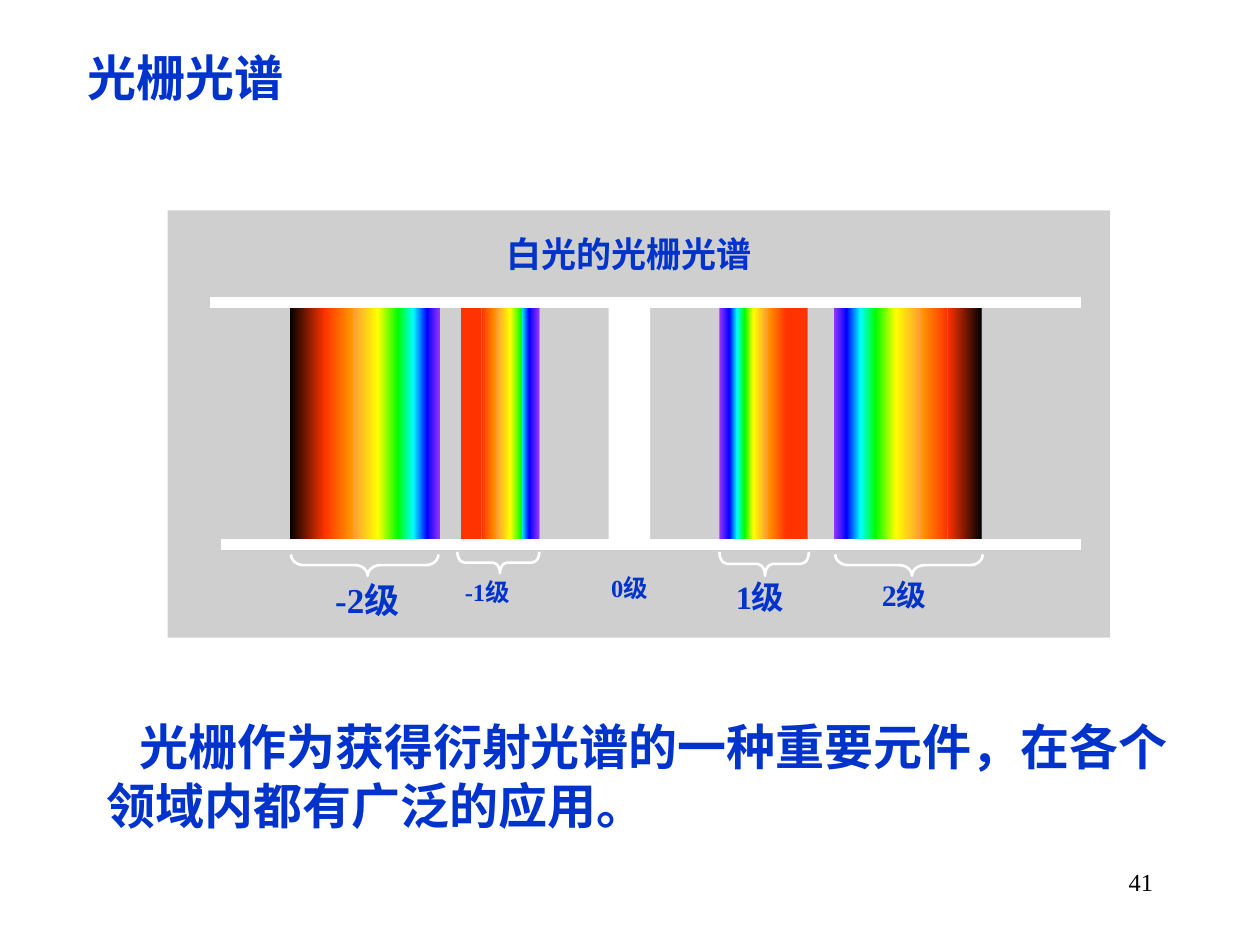
from lxml import etree
from pptx import Presentation
from pptx.dml.color import RGBColor
from pptx.enum.shapes import MSO_CONNECTOR, MSO_SHAPE
from pptx.enum.text import PP_ALIGN
from pptx.oxml.ns import qn
from pptx.util import Inches, Pt

RECTANGLE, BRACE = MSO_SHAPE.RECTANGLE, MSO_SHAPE.LEFT_BRACE
LEFT, RIGHT, JUSTIFY = PP_ALIGN.LEFT, PP_ALIGN.RIGHT, PP_ALIGN.JUSTIFY
LATIN, CHINESE = "Times New Roman", "Noto Sans CJK SC"
COLORS = {"text": "0033CC", "black": "000000", "white": "FFFFFF", "red": "FF3300"}

# Colours from violet outwards: (inner edge, outer edge)
SPECTRUM = [
    ("9933FF", "0000FF"),
    ("0000FF", "00FFFF"),
    ("00FFFF", "00FF00"),
    ("00FF00", "FFFF00"),
    ("FFFF00", "FF9933"),
    ("FF9900", "FF3300"),
]
BAND_TOP, BAND_HEIGHT = 2.41, 1.92

# Each order: violet edge, direction of growing wavelength, outermost colours, band widths
ORDERS = [
    (6.62, 1, ("FF3300", "000000"), [0.1, 0.11, 0.12, 0.16, 0.2, 0.21, 0.27]),
    (5.71, 1, ("FF3300", "FF3300"), [0.08, 0.06, 0.06, 0.07, 0.11, 0.15, 0.17]),
    (4.28, -1, ("FF3300", "FF3300"), [0.08, 0.06, 0, 0.09, 0.11, 0.12, 0.16]),
    (3.49, -1, ("FF3300", "000000"), [0.1, 0.11, 0.12, 0.16, 0.2, 0.22, 0.28]),
]
# Left, top, length, depth, corner, position of the point
BRACES = [
    (2.31, 4.4, 1.17, 0.17, 0.59, 0.52),
    (6.63, 4.4, 1.17, 0.17, 0.59, 0.52),
    (3.63, 4.38, 0.65, 0.17, 0.33, 0.52),
    (5.71, 4.38, 0.71, 0.19, 0.32, 0.51),
]
# Number, left, top, width, height, size
ORDER_LABELS = [
    ("0", 4.84, 4.54, 0.58, 0.27, 14),
    ("1", 5.83, 4.57, 0.51, 0.36, 18.5),
    ("2", 6.99, 4.57, 0.46, 0.36, 17),
    ("-2", 2.65, 4.58, 0.61, 0.43, 20),
    ("-1", 3.68, 4.57, 0.56, 0.28, 14),
]
RAILS = [(1.67, 2.4), (1.75, 4.32)]
RAIL_END = 8.58


def rgb(value):
    return RGBColor.from_string(value)


def add_text(slide, runs, box, size, color=COLORS["text"], bold=True,
             align=LEFT, margins=(0.1, 0.05), indent=0):
    """Add one paragraph; runs is a list of (text, latin font)."""
    shape = slide.shapes.add_textbox(*map(Inches, box))
    frame = shape.text_frame
    frame.word_wrap = True
    frame.margin_left = frame.margin_right = Inches(margins[0])
    frame.margin_top = frame.margin_bottom = Inches(margins[1])
    paragraph = frame.paragraphs[0]
    paragraph.alignment = align
    if indent:
        paragraph._p.get_or_add_pPr().set("indent", str(Inches(indent)))
    for text, name in runs:
        run = paragraph.add_run()
        run.text = text
        font = run.font
        font.size, font.bold, font.name = Pt(size), bold, name
        font.color.rgb = rgb(color)
        east_asian = etree.SubElement(run._r.get_or_add_rPr(), qn("a:ea"))
        east_asian.set("typeface", CHINESE)


def add_rectangle(slide, box, start, end=None):
    """Fill with one colour, or with a left-to-right gradient."""
    shape = slide.shapes.add_shape(RECTANGLE, *map(Inches, box))
    shape.shadow.inherit = False
    shape.line.fill.background()
    if end in (None, start):
        shape.fill.solid()
        shape.fill.fore_color.rgb = rgb(start)
    else:
        shape.fill.gradient()
        shape.fill.gradient_angle = 0
        for stop, color in zip(shape.fill.gradient_stops, (start, end)):
            stop.color.rgb = rgb(color)
    return shape


def add_order(slide, edge, direction, outermost, widths):
    for (inner, outer), width in zip(SPECTRUM + [outermost], widths):
        next_edge = edge + direction * width
        if width:
            colors = (inner, outer) if direction > 0 else (outer, inner)
            add_rectangle(slide, (min(edge, next_edge), BAND_TOP, width, BAND_HEIGHT), *colors)
        edge = next_edge


def add_brace(slide, left, top, length, depth, corner, point):
    """Add a brace that opens upwards, turned about its centre."""
    box = (left + (length - depth) / 2, top + (depth - length) / 2, depth, length)
    brace = slide.shapes.add_shape(BRACE, *map(Inches, box))
    brace.shadow.inherit = False
    brace.rotation = 270
    brace.adjustments[0], brace.adjustments[1] = corner, point
    brace.fill.background()
    brace.line.color.rgb = rgb(COLORS["white"])
    brace.line.width = Pt(1.5)


def add_rail(slide, left, y):
    rail = slide.shapes.add_connector(
        MSO_CONNECTOR.STRAIGHT, *map(Inches, (left, y, RAIL_END, y)))
    rail.line.color.rgb = rgb(COLORS["white"])
    rail.line.width = Pt(6)
    etree.SubElement(rail._element.spPr, qn("a:effectLst"))


def main():
    presentation = Presentation()
    presentation.slide_width, presentation.slide_height = Inches(10), Inches(7.5)
    slide = presentation.slides.add_slide(presentation.slide_layouts[6])

    panel = add_rectangle(slide, (1.33, 1.67, 7.48, 3.39), COLORS["black"])
    color = panel._element.spPr.find(qn("a:solidFill"))[0]
    etree.SubElement(color, qn("a:alpha")).set("val", "19000")

    add_text(slide, [("光栅光谱", CHINESE)], (0.42, 0.33, 5.17, 0.57), 28, indent=0.18)
    add_text(slide, [("白光的光栅光谱", CHINESE)], (3.92, 1.8, 2.75, 0.44), 20)
    for number, left, top, width, height, size in ORDER_LABELS:
        add_text(slide, [(number, LATIN), ("级", CHINESE)], (left, top, width, height),
                 size, align=JUSTIFY, margins=(0.01, 0.01))

    for order in ORDERS:
        add_order(slide, *order)
    add_rectangle(slide, (4.83, 2.42, 0.33, BAND_HEIGHT), COLORS["white"])
    for brace in BRACES:
        add_brace(slide, *brace)
    for rail in RAILS:
        add_rail(slide, *rail)

    add_text(slide, [("光栅作为获得衍射光谱的一种重要元件，在各个领域内都有广泛的应用。", LATIN)],
             (0.75, 5.64, 8.67, 1.04), 28, indent=0.26)
    add_text(slide, [("41", LATIN)], (7.17, 6.83, 2.08, 0.5), 14,
             color=COLORS["black"], bold=False, align=RIGHT)
    presentation.save("out.pptx")


if __name__ == "__main__":
    main()
